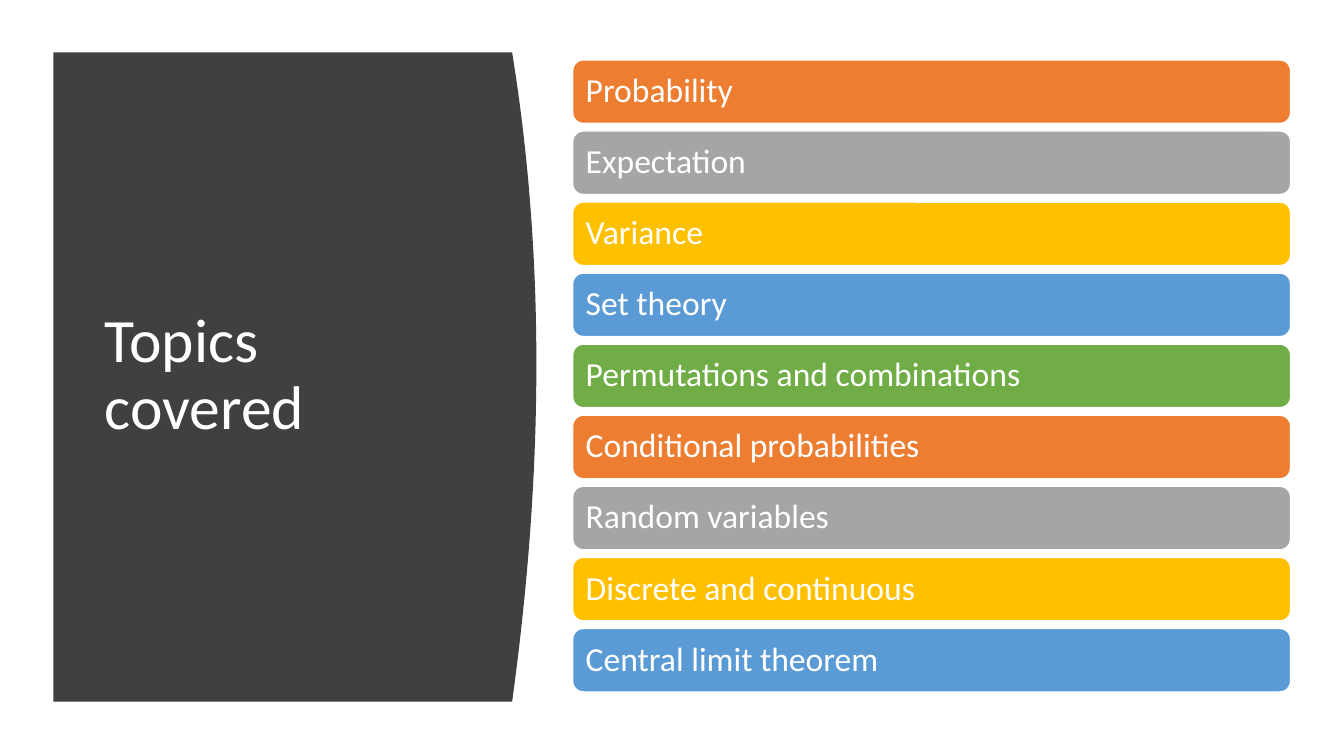
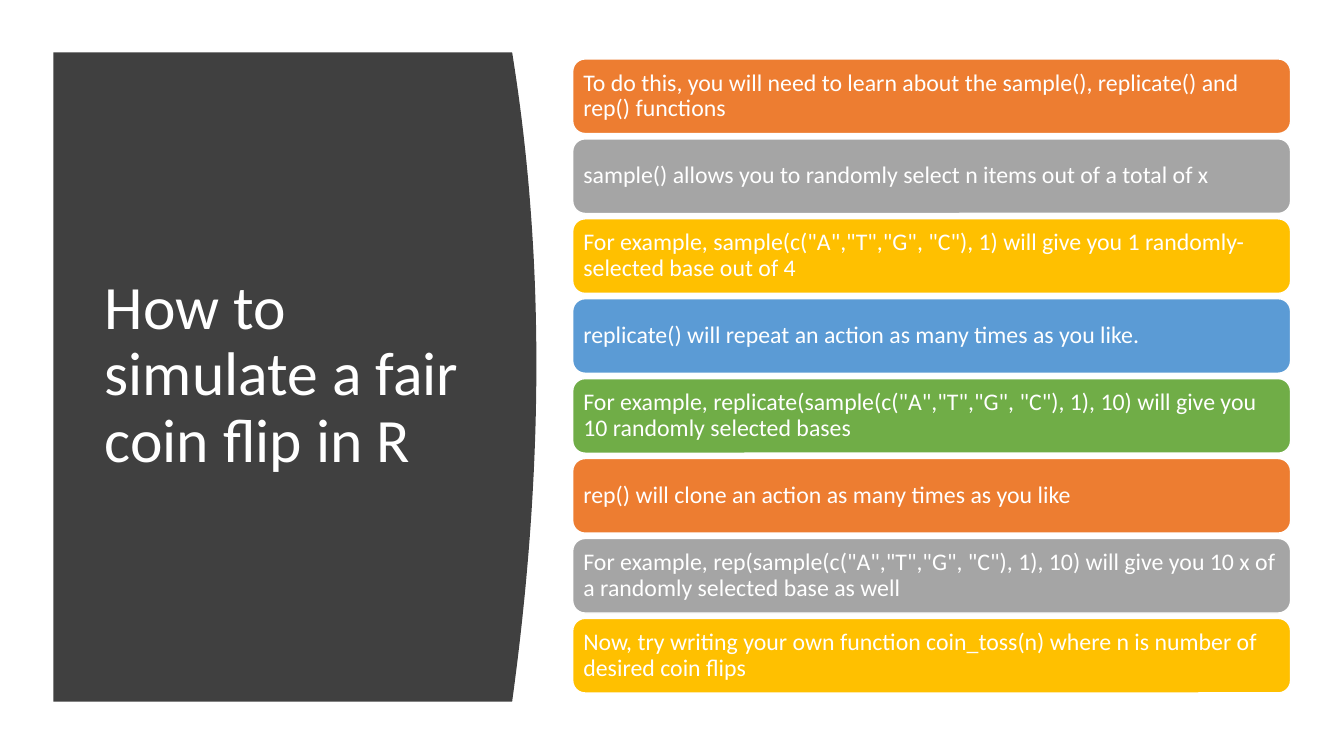
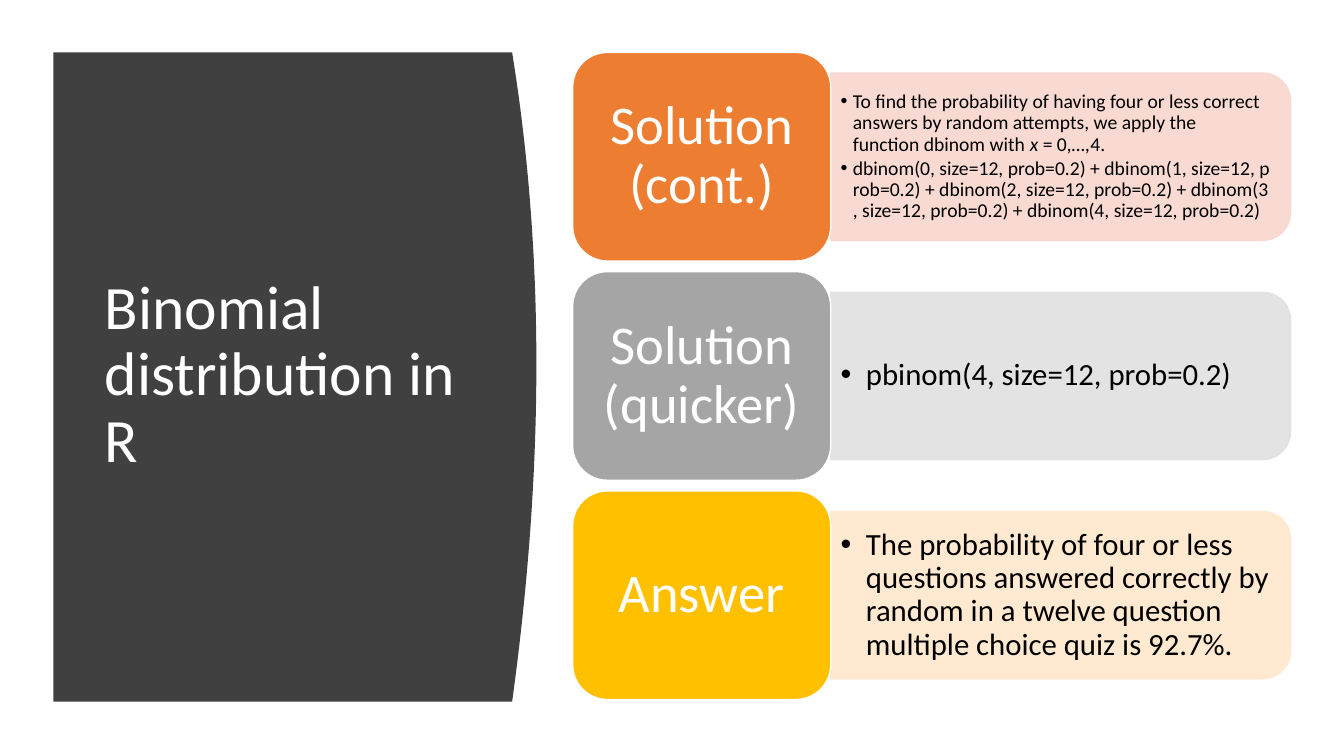
"""Build three slides on chance and sampling in R."""
from dataclasses import dataclass
from itertools import cycle

from lxml.etree import SubElement
from pptx import Presentation
from pptx.dml.color import RGBColor
from pptx.enum.shapes import MSO_SHAPE
from pptx.enum.text import MSO_ANCHOR, PP_ALIGN
from pptx.oxml.ns import qn
from pptx.util import Inches, Pt


@dataclass(frozen=True)
class Theme:
    font: str = "Calibri"
    white: str = "FFFFFF"
    black: str = "000000"
    dark: str = "404040"
    hues: tuple = ("ED7D31", "A5A5A5", "FFC000", "5B9BD5", "70AD47")
    tints: tuple = ("F8D7CE", "E1E1E1", "FFE8CC")
    title: int = 44
    label: int = 39
    topic: int = 24
    step: int = 17
    body: int = 22
    small: int = 14


@dataclass(frozen=True)
class Stack:
    span: float
    high: float
    wide: float
    size: int
    pad: tuple
    align: PP_ALIGN = PP_ALIGN.LEFT


@dataclass(frozen=True)
class Part:
    text: str
    slant: bool = False


@dataclass(frozen=True)
class Note:
    label: str
    lines: tuple
    size: int
    dent: float


def hard(text: str) -> str:
    """Swap each space for one that does not break."""
    return text.replace(" ", chr(160))


THEME = Theme()
LEFT, MID = 5.68, 3.73
TOPICS = Stack(6.27, 0.63, 7.12, THEME.topic, (0.1, 0.1))
STEPS = Stack(6.29, 0.74, 7.12, THEME.step, (0.07, 0.07))
LABELS = Stack(6.42, 2.07, 2.56, THEME.label, (0.16, 0.08), PP_ALIGN.CENTER)
CARD_WIDE, CARD_HIGH = 4.56, 1.66

TOPIC_LIST = (
    "Probability", "Expectation", "Variance", "Set theory",
    "Permutations and combinations", "Conditional probabilities",
    "Random variables", "Discrete and continuous", "Central limit theorem",
)
STEP_LIST = (
    "To do this, you will need to learn about the sample(), replicate() and rep() functions",
    "sample() allows you to randomly select n items out of a total of x",
    'For example, sample(c("A","T","G", "C"), 1) will give you 1 randomly-selected base out of 4',
    "replicate() will repeat an action as many times as you like.",
    'For example, replicate(sample(c("A","T","G", "C"), 1), 10) will give you 10 randomly selected bases',
    "rep() will clone an action as many times as you like",
    'For example, rep(sample(c("A","T","G", "C"), 1), 10) will give you 10 x of a randomly selected base as well',
    "Now, try writing your own function coin_toss(n) where n is number of desired coin flips",
)
SUM = " + ".join(f"dbinom({k}, size=12, prob=0.2)" for k in range(5))
NOTES = (
    Note("Solution (cont.)", (
        (Part("To find the probability of having four or less correct answers "
              "by random attempts, we apply the " + hard("function dbinom with ")),
         Part(hard("x "), True), Part("= 0"), Part(",…,", True), Part("4.")),
        (Part(hard(SUM)),),
    ), THEME.small, 0.12),
    Note("Solution (quicker)", ((Part(hard("pbinom(4, size=12, prob=0.2)")),),),
         THEME.body, 0.25),
    Note("Answer", ((Part("The probability of four or less questions answered correctly by "
                          "random in a twelve question multiple choice quiz is 92.7%."),),),
         THEME.body, 0.25),
)


def paint(shape, fill: str, line: str | None = None) -> None:
    """Give a shape a flat fill and an optional thin line."""
    shape.shadow.inherit = False
    shape.fill.solid()
    shape.fill.fore_color.rgb = RGBColor.from_string(fill)
    if line:
        shape.line.color.rgb = RGBColor.from_string(line)
        shape.line.width = Pt(1)
    else:
        shape.line.fill.background()


def frame(shape, pad: tuple):
    """Set wrap, anchor and insets, and return the text frame."""
    text = shape.text_frame
    text.word_wrap = True
    text.vertical_anchor = MSO_ANCHOR.MIDDLE
    text.margin_left = text.margin_right = Inches(pad[0])
    text.margin_top = text.margin_bottom = Inches(pad[1])
    return text


def style(para, size: int, tone: str, align: PP_ALIGN = PP_ALIGN.LEFT) -> None:
    """Format a paragraph and all its runs."""
    para.alignment = align
    para.line_spacing = 0.9
    for run in para.runs:
        run.font.name = THEME.font
        run.font.size = Pt(size)
        run.font.color.rgb = RGBColor.from_string(tone)


def write(shape, text: str, size: int, pad: tuple, align: PP_ALIGN = PP_ALIGN.LEFT) -> None:
    """Put one white paragraph in a shape."""
    body = frame(shape, pad)
    body.text = text
    style(body.paragraphs[0], size, THEME.white, align)


def start(deck, title: str):
    """Add a slide with the curved panel and its title."""
    slide = deck.slides.add_slide(deck.slide_layouts[6])
    left, top, edge, low, bulge, count = 0.53, 0.52, 5.08, 6.96, 0.24, 48
    curve = []
    for k in range(count + 1):
        u = 2 * k / count - 1
        side = edge + bulge * (1 - u * u) * (1 - 0.08 * u)
        curve.append((Inches(side), Inches(top + (low - top) * k / count)))
    form = slide.shapes.build_freeform(Inches(left), Inches(top), scale=1.0)
    form.add_line_segments([*curve, (Inches(left), Inches(low))], close=True)
    paint(form.convert_to_shape(), THEME.dark)
    box = slide.shapes.add_textbox(Inches(0.94), Inches(1.11), Inches(3.74), Inches(5.24))
    write(box, title, THEME.title, (0.1, 0.05))
    return slide


def tops(stack: Stack, count: int) -> list[float]:
    """Return the top of each box in an evenly spread stack."""
    pitch = (stack.span - stack.high) / (count - 1)
    return [MID - stack.span / 2 + k * pitch for k in range(count)]


def pile(slide, stack: Stack, texts: tuple) -> None:
    """Draw a stack of round boxes in the cycle of hues."""
    for text, top, hue in zip(texts, tops(stack, len(texts)), cycle(THEME.hues)):
        box = slide.shapes.add_shape(MSO_SHAPE.ROUNDED_RECTANGLE, Inches(LEFT), Inches(top),
                                     Inches(stack.wide), Inches(stack.high))
        paint(box, hue, THEME.white)
        write(box, text, stack.size, stack.pad, stack.align)


def dot(para, dent: float) -> None:
    """Add a hanging bullet to a paragraph."""
    props = para._p.get_or_add_pPr()
    props.set("marL", str(Inches(dent)))
    props.set("indent", str(-Inches(dent)))
    SubElement(props, qn("a:buFont")).set("typeface", "Arial")
    SubElement(props, qn("a:buChar")).set("char", "•")


def card(slide, note: Note, mid: float, tint: str) -> None:
    """Draw the pale card of a note with its bullets."""
    left = LEFT + LABELS.wide
    shape = slide.shapes.add_shape(
        MSO_SHAPE.ROUND_2_SAME_RECTANGLE,
        Inches(left + (CARD_WIDE - CARD_HIGH) / 2), Inches(mid - CARD_WIDE / 2),
        Inches(CARD_HIGH), Inches(CARD_WIDE))
    shape.rotation = 90
    paint(shape, tint, tint)
    for tone in shape._element.spPr.iter(qn("a:srgbClr")):
        SubElement(tone, qn("a:alpha")).set("val", "90000")
    box = slide.shapes.add_textbox(Inches(left), Inches(mid - 0.75), Inches(4.48), Inches(1.5))
    body = frame(box, (0.1, 0.05))
    for k, line in enumerate(note.lines):
        para = body.add_paragraph() if k else body.paragraphs[0]
        for part in line:
            run = para.add_run()
            run.text = part.text
            run.font.italic = part.slant
        style(para, note.size, THEME.black)
        para.space_after = Pt(note.size * 0.15)
        dot(para, note.dent)


def main() -> None:
    """Build and save the deck."""
    deck = Presentation()
    deck.slide_width, deck.slide_height = Inches(13.33), Inches(7.5)
    pile(start(deck, "Topics covered"), TOPICS, TOPIC_LIST)
    pile(start(deck, "How to simulate a fair coin flip in R"), STEPS, STEP_LIST)
    slide = start(deck, "Binomial distribution in R")
    for note, top, tint in zip(NOTES, tops(LABELS, len(NOTES)), THEME.tints):
        card(slide, note, top + LABELS.high / 2, tint)
    pile(slide, LABELS, tuple(note.label for note in NOTES))
    deck.save("out.pptx")


if __name__ == "__main__":
    main()
